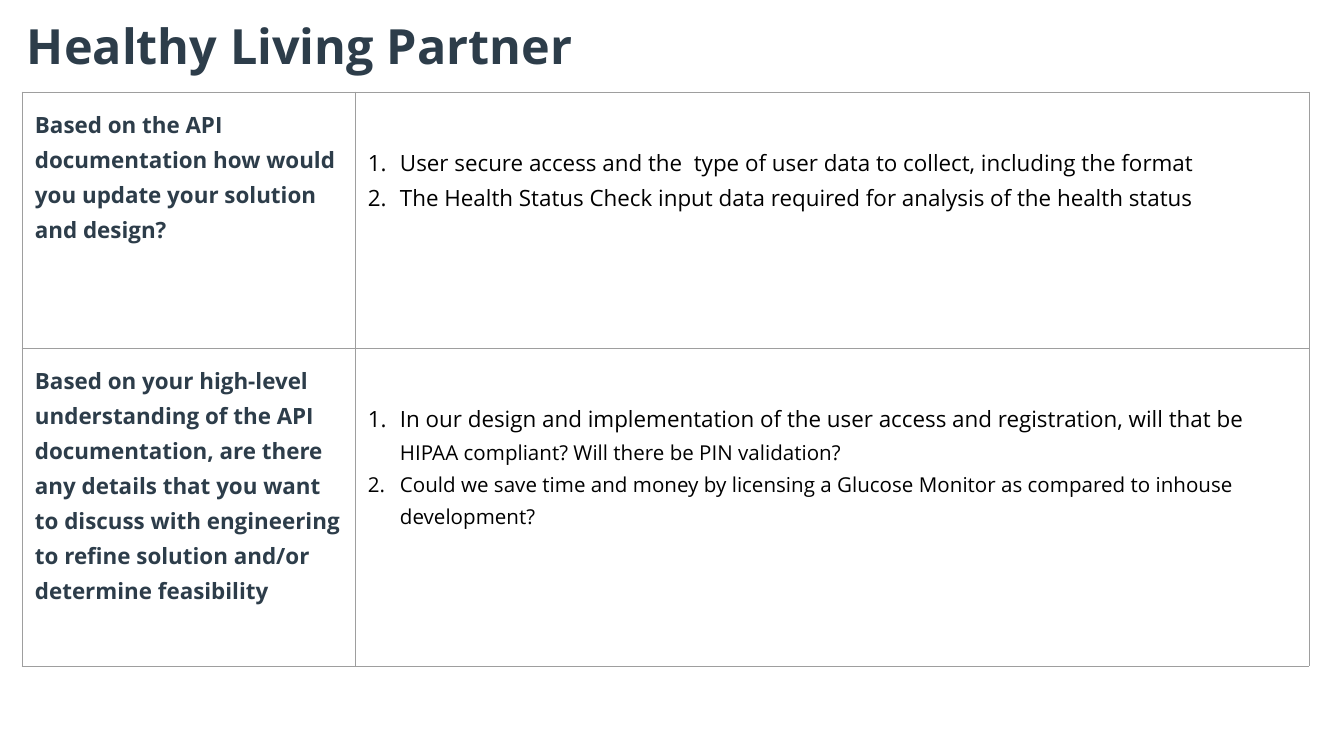
import pptx
import pptx.dml.color
import pptx.enum.text
import pptx.oxml
import pptx.oxml.ns
import pptx.util
from dataclasses import dataclass


@dataclass(frozen=True)
class Theme:
    font: str = "Open Sans"
    heading: str = "2D3D4A"
    body: str = "000000"
    border: str = "9E9E9E"
    title_size: int = 26
    text_size: int = 12
    small_size: int = 11
    border_width: float = 0.34


theme = Theme()
PX = 914400 / 134.4
NS = pptx.oxml.ns.nsdecls("a")


def px(n):
    return pptx.util.Emu(round(n * PX))


def add_text(p, text, size=theme.text_size, color=theme.body, bold=False,
             spacing=1.15, before=0, numbered=False):
    """Append a run to p and set the paragraph's spacing and numbering."""
    p.alignment = pptx.enum.text.PP_ALIGN.LEFT
    p.line_spacing = spacing
    p.space_before = pptx.util.Pt(before)
    r = p.add_run()
    r.text = text
    r.font.name = theme.font
    r.font.size = pptx.util.Pt(size)
    r.font.bold = bold
    r.font.color.rgb = pptx.dml.color.RGBColor.from_string(color)
    if numbered:
        pPr = p._p.get_or_add_pPr()
        pPr.set("marL", str(px(32)))
        pPr.set("indent", str(-px(32)))
        pPr.append(pptx.oxml.parse_xml(
            f'<a:buClr {NS}><a:srgbClr val="{theme.body}"/></a:buClr>'))
        pPr.append(pptx.oxml.parse_xml(f'<a:buAutoNum {NS} type="arabicPeriod"/>'))


prs = pptx.Presentation()
prs.slide_width, prs.slide_height = px(1344), px(756)
s = prs.slides.add_slide(prs.slide_layouts[5])

title = s.shapes.title
title.left, title.top, title.width, title.height = px(22), px(11), px(1232), px(81)
tf = title.text_frame
tf.auto_size = pptx.enum.text.MSO_AUTO_SIZE.NONE
tf.vertical_anchor = pptx.enum.text.MSO_ANCHOR.TOP
tf.margin_left = tf.margin_top = tf.margin_right = tf.margin_bottom = px(5)
add_text(tf.paragraphs[0], "Healthy Living Partner", size=theme.title_size,
         color=theme.heading, bold=True, spacing=1.0)

# Each row: height, question, numbered answers made of (text, size) runs
rows = [
    (256, "Based on the API documentation how would you update your solution and design?", [
        [("User secure access and the  type of user data to collect, including the format",
          theme.text_size)],
        [("The Health Status Check input data required for analysis of the health status",
          theme.text_size)],
    ]),
    (318, "Based on your high-level understanding of the API documentation, are there any "
          "details that you want to discuss with engineering to refine solution and/or "
          "determine feasibility", [
        [("In our design and implementation of the user access and registration, will that be ",
          theme.text_size),
         ("HIPAA compliant? Will there be PIN validation?", theme.small_size)],
        [("Could we save time and money by licensing a Glucose Monitor as compared to inhouse "
          "development?", theme.small_size)],
    ]),
]
col_widths = [333, 954]

table = s.shapes.add_table(len(rows), len(col_widths), px(22), px(92), px(sum(col_widths)),
                           px(sum(height for height, _, _ in rows))).table
table.first_row = table.horz_banding = False
for col, width in zip(table.columns, col_widths):
    col.width = px(width)

for row, (height, question, answers) in zip(table.rows, rows):
    row.height = px(height)
    question_cell, answer_cell = row.cells
    for cell in row.cells:
        cell.margin_left = cell.margin_right = cell.margin_top = cell.margin_bottom = px(13)
        cell.fill.background()
        tcPr = cell._tc.get_or_add_tcPr()
        for i, side in enumerate(("lnL", "lnR", "lnT", "lnB")):
            tcPr.insert(i, pptx.oxml.parse_xml(
                f'<a:{side} {NS} w="{pptx.util.Pt(theme.border_width)}"><a:solidFill>'
                f'<a:srgbClr val="{theme.border}"/></a:solidFill></a:{side}>'))

    add_text(question_cell.text_frame.paragraphs[0], question,
             color=theme.heading, bold=True)

    answer_cell.margin_top = px(51)
    tf = answer_cell.text_frame
    for i, answer in enumerate(answers):
        p = tf.paragraphs[0] if i == 0 else tf.add_paragraph()
        for j, (text, size) in enumerate(answer):
            add_text(p, text, size=size, numbered=j == 0)

prs.save("out.pptx")
